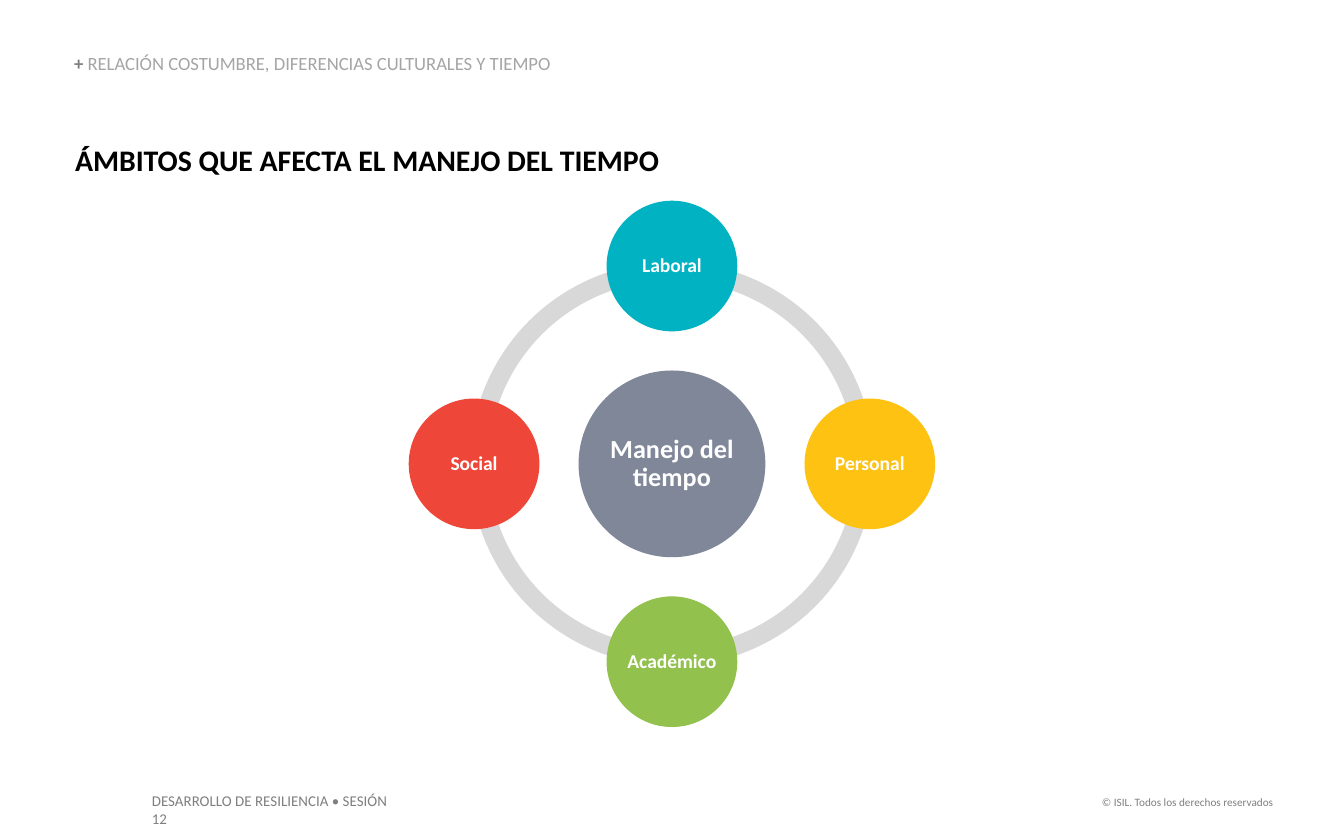
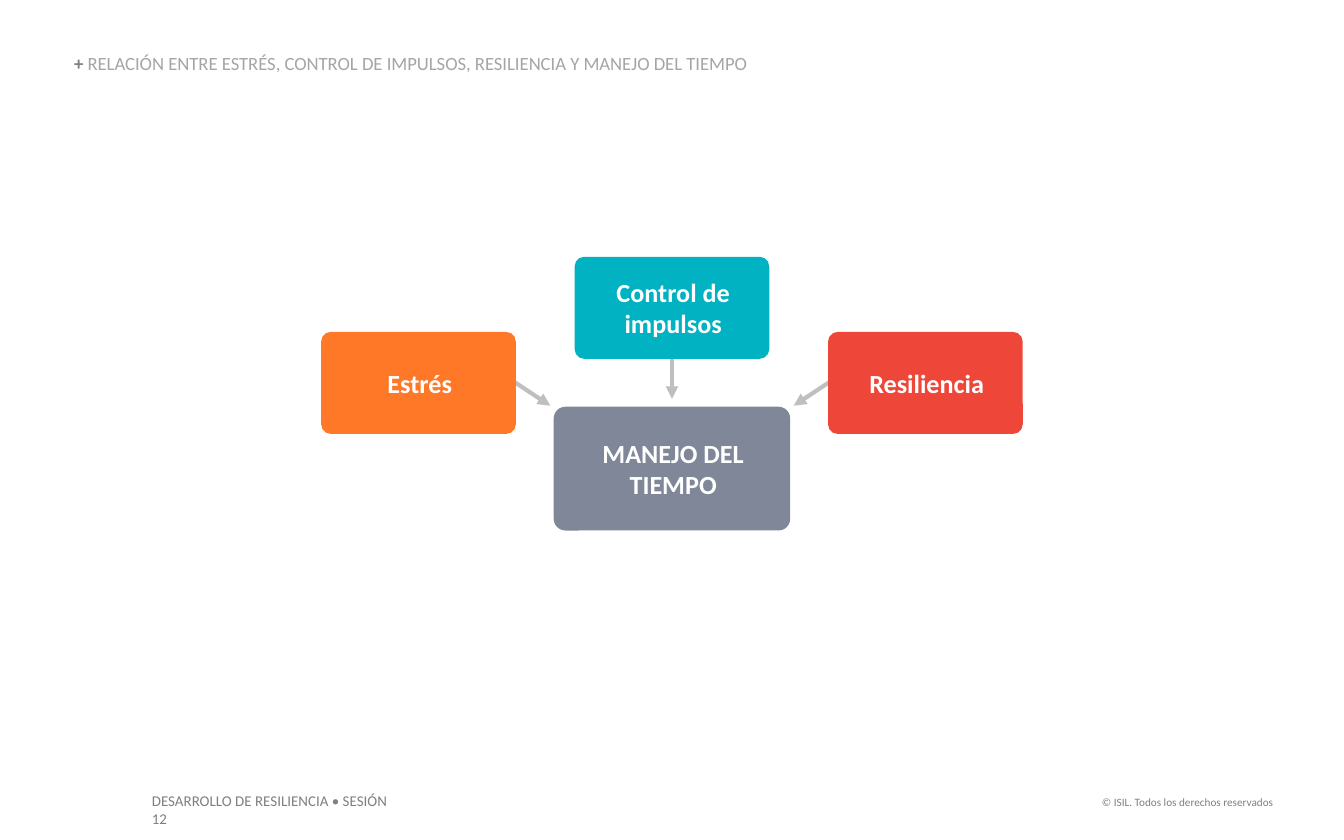
from pptx import Presentation
from pptx import util as u
from pptx.dml import color
from pptx.enum import shapes, text
from pptx.oxml import ns
from lxml import etree

FONT = "Calibri"
WHITE, BLACK, GRAY, PALE = "FFFFFF", "000000", "7F7F7F", "A5A5A5"
TEAL, RED, GOLD, GREEN = "00B2C2", "EE4639", "FDC212", "92C14D"
ORANGE, SLATE, RING, ARROW = "FF7827", "7F8799", "D8D8D8", "BFBFBF"
MID = 12.7
KIND = shapes.MSO_SHAPE
SIDE = text.PP_ALIGN
HOLD = text.MSO_ANCHOR


def rgb(code):
    return color.RGBColor.from_string(code)


class Deck:
    def __init__(self):
        self.show = Presentation()
        self.show.slide_width = u.Cm(25.4)
        self.show.slide_height = u.Cm(15.88)
        self.slide = None

    def page(self, topic):
        self.slide = self.show.slides.add_slide(self.show.slide_layouts[5])
        title = self.slide.shapes.title
        title.left, title.top = u.Cm(1.4), u.Cm(1.04)
        title.width, title.height = u.Cm(14.3), u.Cm(0.38)
        runs = [("+ ", 10, GRAY, True), (topic, 10, PALE, False)]
        self.letter(title, runs, hold=HOLD.BOTTOM, space=0.9)
        pad = (0.25, 0.13, 0.25, 0.13)
        self.label(2.62, 14.83, 5.1, 0.61, pad=pad,
                   runs=[("DESARROLLO DE RESILIENCIA • SESIÓN 12", 8, GRAY, False)])
        self.label(20.5, 14.91, 3.81, 0.51, pad=pad, side=SIDE.RIGHT,
                   runs=[("© ISIL. Todos los derechos reservados", 6, GRAY, False)])

    def letter(self, shape, runs, side=SIDE.LEFT, hold=HOLD.TOP,
               pad=(0, 0, 0, 0), space=1.0, wrap=True):
        frame = shape.text_frame
        frame.auto_size = text.MSO_AUTO_SIZE.NONE
        frame.word_wrap = wrap
        frame.vertical_anchor = hold
        (frame.margin_left, frame.margin_top,
         frame.margin_right, frame.margin_bottom) = map(u.Cm, pad)
        para = frame.paragraphs[0]
        para.alignment = side
        para.line_spacing = space
        for words, size, tone, bold in runs:
            run = para.add_run()
            run.text = words
            run.font.name = FONT
            run.font.size = u.Pt(size)
            run.font.bold = bold
            run.font.color.rgb = rgb(tone)

    def label(self, left, top, wide, high, runs, **style):
        box = self.slide.shapes.add_textbox(*map(u.Cm, (left, top, wide, high)))
        self.letter(box, runs, **style)

    def shape(self, kind, x, y, wide, high, tone, tune=()):
        area = (x - wide / 2, y - high / 2, wide, high)
        item = self.slide.shapes.add_shape(kind, *map(u.Cm, area))
        item.shadow.inherit = False
        item.fill.solid()
        item.fill.fore_color.rgb = rgb(tone)
        item.line.fill.background()
        for spot, value in enumerate(tune):
            item.adjustments[spot] = value
        return item

    def ring(self, x, y, size):
        for part in range(4):
            tune = (54 * part, 54 * (part + 1) % 216, 0.046)
            self.shape(KIND.BLOCK_ARC, x, y, size, size, RING, tune)

    def disc(self, x, y, size, tone, words, points):
        item = self.shape(KIND.OVAL, x, y, size, size, tone)
        self.letter(item, [(words, points, WHITE, True)], SIDE.CENTER, HOLD.MIDDLE,
                    (0.05,) * 4, 0.9, wrap=" " in words)

    def card(self, x, y, wide, high, tone, words):
        item = self.shape(KIND.ROUNDED_RECTANGLE, x, y, wide, high, tone, (0.095,))
        self.letter(item, [(words, 14, WHITE, True)], SIDE.CENTER, HOLD.MIDDLE,
                    (0.3, 0.13, 0.25, 0.13))

    def arrow(self, *ends):
        link = self.slide.shapes.add_connector(
            shapes.MSO_CONNECTOR.STRAIGHT, *map(u.Cm, ends))
        link.line.color.rgb = rgb(ARROW)
        link.line.width = u.Pt(2.25)
        props = link._element.spPr
        etree.SubElement(props.find(ns.qn("a:ln")), ns.qn("a:tailEnd"), type="triangle")
        etree.SubElement(props, ns.qn("a:effectLst"))


def scopes(deck):
    deck.page("RELACIÓN COSTUMBRE, DIFERENCIAS CULTURALES Y TIEMPO")
    deck.label(1.42, 2.67, 11.28, 0.69,
               [("ÁMBITOS QUE AFECTA EL MANEJO DEL TIEMPO", 16, BLACK, True)])
    y, reach = 8.77, 3.74
    deck.ring(MID, y, 7.64)
    deck.disc(MID, y, 3.53, SLATE, "Manejo del tiempo", 14)
    for across, down, tone, words in (
            (0, -1, TEAL, "Laboral"), (1, 0, GOLD, "Personal"),
            (0, 1, GREEN, "Académico"), (-1, 0, RED, "Social")):
        deck.disc(MID + across * reach, y + down * reach, 2.47, tone, words, 10.5)


def links(deck):
    deck.page("RELACIÓN ENTRE ESTRÉS, CONTROL DE IMPULSOS, "
              "RESILIENCIA Y MANEJO DEL TIEMPO")
    for way in (-1, 1):
        deck.arrow(MID + way * 3.45, 6.91, MID + way * 2.3, 7.67)
    deck.arrow(MID, 6.02, MID, 7.54)
    for way, y, tone, words in (
            (-1, 7.24, ORANGE, "Estrés"), (1, 7.24, RED, "Resiliencia"),
            (0, 5.82, TEAL, "Control de impulsos")):
        deck.card(MID + way * 4.79, y, 3.68, 1.93, tone, words)
    deck.card(MID, 8.86, 4.47, 2.34, SLATE, "MANEJO DEL TIEMPO")


def main():
    deck = Deck()
    scopes(deck)
    links(deck)
    deck.show.save("out.pptx")


if __name__ == "__main__":
    main()
